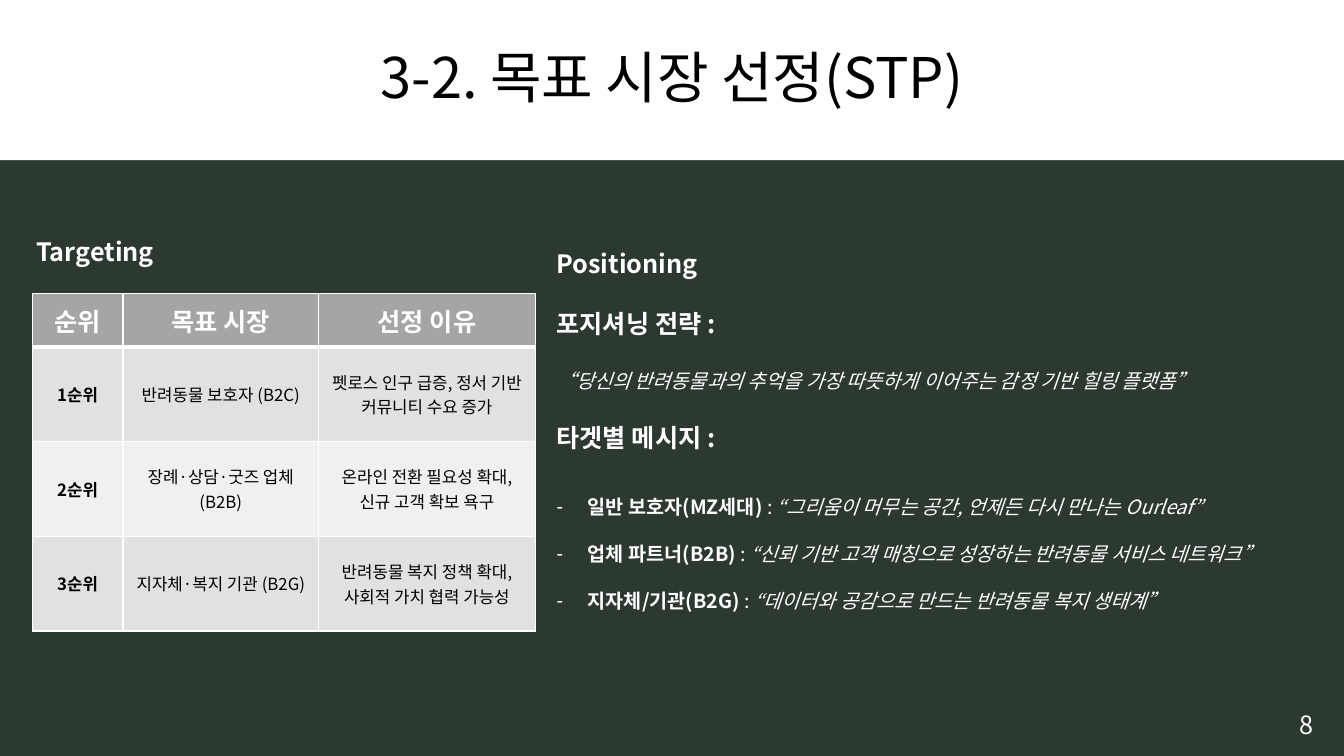
from lxml import etree
from pptx import Presentation
from pptx.dml.color import RGBColor
from pptx.enum.text import MSO_ANCHOR, MSO_AUTO_SIZE, PP_ALIGN
from pptx.oxml.ns import qn
from pptx.util import Inches, Pt

CENTER, LEFT = PP_ALIGN.CENTER, PP_ALIGN.LEFT
MIDDLE, TOP = MSO_ANCHOR.MIDDLE, MSO_ANCHOR.TOP
NO_AUTOFIT = MSO_AUTO_SIZE.NONE

FONT = "Noto Sans CJK KR"
DARK_GREEN = RGBColor(0x2C, 0x39, 0x30)
WHITE = RGBColor(0xFF, 0xFF, 0xFF)
BLACK = RGBColor(0, 0, 0)
HEADER_GRAY = RGBColor(0xA5, 0xA5, 0xA5)
BAND_GRAYS = (RGBColor(0xF0, 0xF0, 0xF0), RGBColor(0xE1, 0xE1, 0xE1))

HEADING_LINE, QUOTE_LINE, MESSAGE_LINE = Pt(21.6), Pt(25.2), Pt(33.6)
WIDE_GAP, NARROW_GAP = Pt(21.6), Pt(13.2)

TARGETS = [
    ("순위", "목표 시장", "선정 이유"),
    ("1순위", "반려동물 보호자 (B2C)", "펫로스 인구 급증, 정서 기반 커뮤니티 수요 증가"),
    ("2순위", "장례·상담·굿즈 업체 (B2B)", "온라인 전환 필요성 확대, 신규 고객 확보 욕구"),
    ("3순위", "지자체·복지 기관 (B2G)", "반려동물 복지 정책 확대, 사회적 가치 협력 가능성"),
]
STRATEGY = "“당신의 반려동물과의 추억을 가장 따뜻하게 이어주는 감정 기반 힐링 플랫폼”"
MESSAGES = [
    ("일반 보호자(MZ세대) ", "“그리움이 머무는 공간, 언제든 다시 만나는 Ourleaf”"),
    ("업체 파트너(B2B) ", "“신뢰 기반 고객 매칭으로 성장하는 반려동물 서비스 네트워크”"),
    ("지자체/기관(B2G) ", "“데이터와 공감으로 만드는 반려동물 복지 생태계”"),
]


class StpSlide:
    def __init__(self, deck):
        self.slide = deck.slides.add_slide(deck.slide_layouts[1])
        background = self.slide.background.fill
        background.solid()
        background.fore_color.rgb = DARK_GREEN

    def style(self, run, size, color=WHITE, bold=False, italic=False):
        font = run.font
        font.name, font.size, font.bold, font.italic = FONT, Pt(size), bold, italic
        font.color.rgb = color
        etree.SubElement(run._r.get_or_add_rPr(), qn("a:ea"), typeface=FONT)

    def place(self, shape, left, top, width, height):
        shape.left, shape.top = Inches(left), Inches(top)
        shape.width, shape.height = Inches(width), Inches(height)

    def title(self, text, *box):
        title = self.slide.shapes.title
        self.place(title, *box)
        title.fill.solid()
        title.fill.fore_color.rgb = WHITE
        frame = title.text_frame
        frame.text = text
        frame.vertical_anchor = MIDDLE
        frame.auto_size = NO_AUTOFIT
        line = frame.paragraphs[0]
        line.alignment, line.line_spacing = CENTER, 0.9
        self.style(line.runs[0], 40, BLACK)

    def label(self, text, *box, align=LEFT, bold=False):
        frame = self.slide.shapes.add_textbox(*map(Inches, box)).text_frame
        frame.word_wrap = True
        frame.text = text
        line = frame.paragraphs[0]
        line.alignment, line.line_spacing = align, HEADING_LINE
        self.style(line.runs[0], 18, bold=bold)

    def border(self, cell, side, width):
        line = etree.SubElement(cell._tc.get_or_add_tcPr(), qn(f"a:ln{side}"),
                                w=str(Pt(width)))
        fill = etree.SubElement(line, qn("a:solidFill"))
        etree.SubElement(fill, qn("a:srgbClr"), val=str(WHITE))

    def table(self, rows, left, top, column_widths, row_heights):
        table = self.slide.shapes.add_table(
            len(rows), len(column_widths), Inches(left), Inches(top),
            Inches(sum(column_widths)), Inches(sum(row_heights))).table
        for column, width in zip(table.columns, column_widths):
            column.width = Inches(width)
        for r, (texts, height) in enumerate(zip(rows, row_heights)):
            table.rows[r].height = Inches(height)
            header = r == 0
            for c, text in enumerate(texts):
                cell = table.cell(r, c)
                for side in "LRTB":
                    under_header = (r, side) in ((0, "B"), (1, "T"))
                    self.border(cell, side, 3 if under_header else 1)
                cell.fill.solid()
                cell.fill.fore_color.rgb = HEADER_GRAY if header else BAND_GRAYS[r % 2]
                cell.vertical_anchor = MIDDLE
                cell.text = text
                line = cell.text_frame.paragraphs[0]
                line.alignment = CENTER
                self.style(line.runs[0], 18 if header else 12,
                           WHITE if header else BLACK, bold=header or c == 0)

    def body(self, paragraphs, *box):
        """Fill the body with (parts, size, line height, space before, bulleted)."""
        body = self.slide.placeholders[1]
        self.place(body, *box)
        frame = body.text_frame
        frame.vertical_anchor, frame.auto_size = TOP, NO_AUTOFIT
        for i, (parts, size, line_height, gap, bulleted) in enumerate(paragraphs):
            line = frame.add_paragraph() if i else frame.paragraphs[0]
            properties = line._p.get_or_add_pPr()
            indent = Inches(0.31) if bulleted else 0
            properties.set("marL", str(indent))
            properties.set("indent", str(-indent))
            if bulleted:
                etree.SubElement(properties, qn("a:buChar"), char="-")
            else:
                etree.SubElement(properties, qn("a:buNone"))
            line.alignment, line.line_spacing = LEFT, line_height
            line.space_before = gap
            for text, bold, italic in parts:
                run = line.add_run()
                run.text = text
                self.style(run, size, bold=bold, italic=italic)


def heading(text, gap):
    return [(text, True, False)], 18, HEADING_LINE, gap, False


def message(index, audience, quote):
    parts = [(audience, True, False), (": ", False, False), (quote, False, True)]
    return parts, 14, MESSAGE_LINE, Pt(0) if index else NARROW_GAP, True


def main():
    deck = Presentation()
    deck.slide_width, deck.slide_height = Inches(13.33), Inches(7.5)
    page = StpSlide(deck)
    page.title("3-2. 목표 시장 선정(STP)", 0, 0, 13.33, 1.59)
    page.label("8", 12.59, 6.99, 0.74, 0.4, align=CENTER)
    page.label("Targeting", 0.26, 2.3, 4.01, 0.4, bold=True)
    page.table(TARGETS, 0.32, 2.91, [0.9, 1.94, 2.15], [0.53] + [0.94] * 3)
    positioning = [
        heading("Positioning", Pt(0)),
        heading("포지셔닝 전략 :", WIDE_GAP),
        ([(STRATEGY, False, True)], 14, QUOTE_LINE, NARROW_GAP, False),
        heading("타겟별 메시지 :", WIDE_GAP),
    ]
    positioning += [message(i, *pair) for i, pair in enumerate(MESSAGES)]
    page.body(positioning, 5.42, 2.41, 7.81, 3.68)
    deck.save("out.pptx")


if __name__ == "__main__":
    main()
